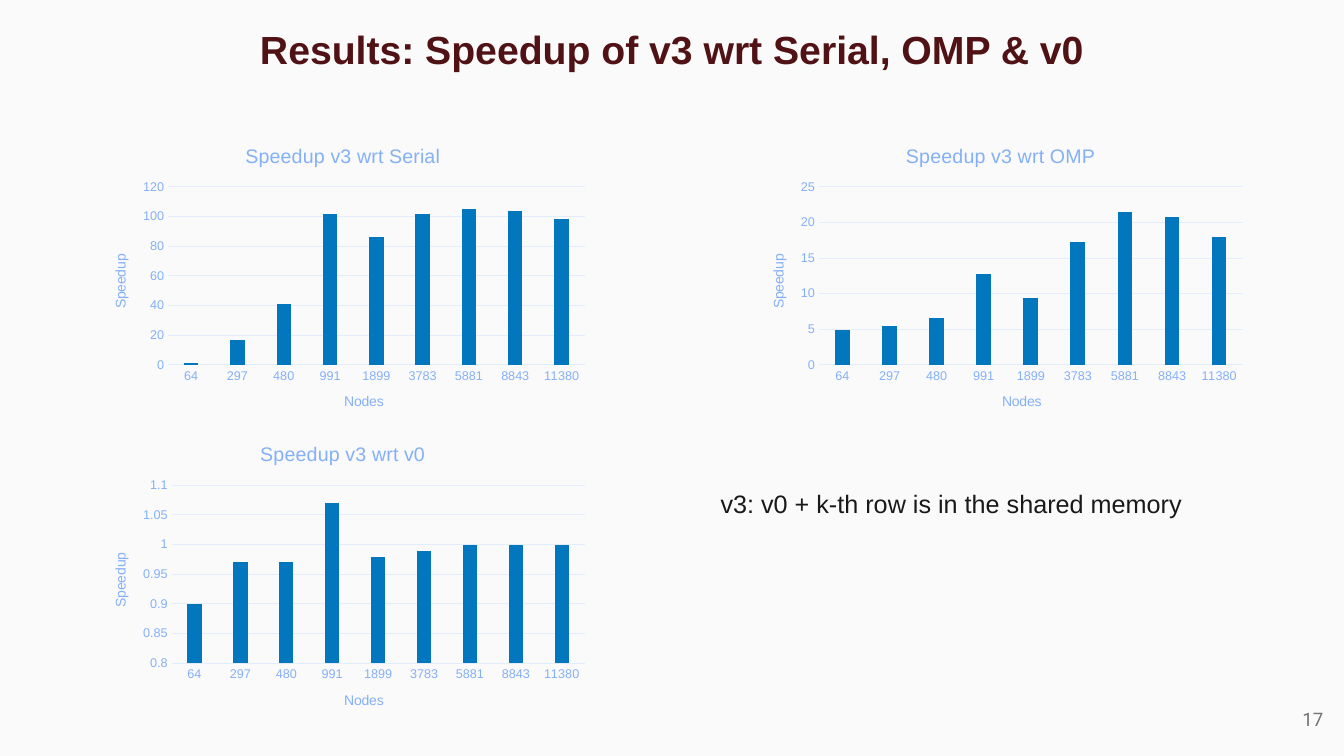
from dataclasses import dataclass

from pptx import Presentation
from pptx.chart.data import CategoryChartData
from pptx.dml.color import RGBColor
from pptx.enum.chart import XL_CHART_TYPE, XL_TICK_MARK
from pptx.enum.text import MSO_ANCHOR, PP_ALIGN
from pptx.util import Cm, Pt


@dataclass(frozen=True)
class Theme:
    font: str = "Arial"
    number_font: str = "Roboto"
    background: str = "FAFAFA"
    heading: str = "501215"
    body: str = "191919"
    page_number: str = "737373"
    chart_text: str = "84B0F8"
    grid: str = "E3EDFD"
    bar: str = "0277BD"
    heading_size: float = 28
    body_size: float = 18
    number_size: float = 13.3
    chart_title_size: float = 14
    axis_title_size: float = 10
    tick_size: float = 9
    line_width: float = 0.75


class SlideBuilder:
    def __init__(self, deck, theme):
        self.theme = theme
        self.page = deck.slides.add_slide(deck.slide_layouts[5])
        self.page.background.fill.solid()
        self.page.background.fill.fore_color.rgb = RGBColor.from_string(theme.background)

    def style(self, font, size, color, name=None, bold=False):
        font.name = name or self.theme.font
        font.size = Pt(size)
        font.bold = bold
        font.color.rgb = RGBColor.from_string(color)

    def fill_text(self, box, text, align, anchor, size, color, name=None, bold=False):
        frame = box.text_frame
        frame.word_wrap = True
        frame.vertical_anchor = anchor
        para = frame.paragraphs[0]
        para.text = text
        para.alignment = align
        self.style(para.font, size, color, name, bold)

    def title(self, text, left, top, width, height):
        box = self.page.shapes.title
        box.left, box.top, box.width, box.height = map(Cm, (left, top, width, height))
        self.fill_text(box, text, PP_ALIGN.CENTER, MSO_ANCHOR.MIDDLE,
                       self.theme.heading_size, self.theme.heading, bold=True)

    def text(self, text, left, top, width, height):
        box = self.page.shapes.add_textbox(*map(Cm, (left, top, width, height)))
        self.fill_text(box, text, PP_ALIGN.JUSTIFY, MSO_ANCHOR.TOP,
                       self.theme.body_size, self.theme.body)

    def page_number(self, text, left, top, width, height):
        box = self.page.shapes.add_textbox(*map(Cm, (left, top, width, height)))
        self.fill_text(box, text, PP_ALIGN.RIGHT, MSO_ANCHOR.MIDDLE,
                       self.theme.number_size, self.theme.page_number, self.theme.number_font)

    def caption(self, owner, text, size):
        para = owner.text_frame.paragraphs[0]
        para.text = text
        self.style(para.font, size, self.theme.chart_text)

    def line(self, line_format):
        line_format.color.rgb = RGBColor.from_string(self.theme.grid)
        line_format.width = Pt(self.theme.line_width)

    def bar_chart(self, title, categories, values, scale, left, top, width, height):
        data = CategoryChartData()
        data.categories = categories
        data.add_series("Series 1", values)
        chart = self.page.shapes.add_chart(
            XL_CHART_TYPE.COLUMN_CLUSTERED, *map(Cm, (left, top, width, height)), data).chart
        self.style(chart.font, self.theme.axis_title_size, self.theme.chart_text)
        chart.has_legend = False
        self.caption(chart.chart_title, title, self.theme.chart_title_size)

        for axis, name in ((chart.category_axis, "Nodes"), (chart.value_axis, "Speedup")):
            self.caption(axis.axis_title, name, self.theme.axis_title_size)
            self.style(axis.tick_labels.font, self.theme.tick_size, self.theme.chart_text)
            axis.major_tick_mark = axis.minor_tick_mark = XL_TICK_MARK.NONE
        self.line(chart.category_axis.format.line)
        value_axis = chart.value_axis
        value_axis.minimum_scale, value_axis.maximum_scale, value_axis.major_unit = scale
        value_axis.format.line.fill.background()
        self.line(value_axis.major_gridlines.format.line)

        plot = chart.plots[0]
        plot.gap_width = 219
        plot.overlap = -27
        plot.vary_by_categories = False
        fill = plot.series[0].format.fill
        fill.solid()
        fill.fore_color.rgb = RGBColor.from_string(self.theme.bar)


NODES = ["64", "297", "480", "991", "1899", "3783", "5881", "8843", "11380"]
SPEEDUPS = [
    ("Serial", (1, 17, 41, 102, 86, 102, 105, 104, 98), (0, 120, 20)),
    ("OMP", (4.9, 5.4, 6.6, 12.8, 9.4, 17.3, 21.4, 20.8, 18), (0, 25, 5)),
    ("v0", (0.9, 0.97, 0.97, 1.07, 0.98, 0.99, 1, 1, 1), (0.8, 1.1, 0.05)),
]
CHART_LEFT, CHART_TOP = 2.29, 3.23
CHART_WIDTH, CHART_HEIGHT = 12.7, 7.62
COLUMN_STEP, ROW_STEP = 16.58, 7.52


def main():
    deck = Presentation()
    deck.slide_width, deck.slide_height = Cm(33.87), Cm(19.05)
    builder = SlideBuilder(deck, Theme())
    builder.title("Results: Speedup of v3 wrt Serial, OMP & v0", 4.27, 0, 25.32, 2.46)
    for index, (baseline, values, scale) in enumerate(SPEEDUPS):
        row, column = divmod(index, 2)
        builder.bar_chart(f"Speedup v3 wrt {baseline}", NODES, values, scale,
                          CHART_LEFT + column * COLUMN_STEP, CHART_TOP + row * ROW_STEP,
                          CHART_WIDTH, CHART_HEIGHT)
    builder.text("v3: v0 + k-th row is in the shared memory", 17.91, 12.19, 12.4, 1.02)
    builder.page_number("17", 31.57, 17.4, 2.03, 1.45)
    deck.save("out.pptx")


if __name__ == "__main__":
    main()
